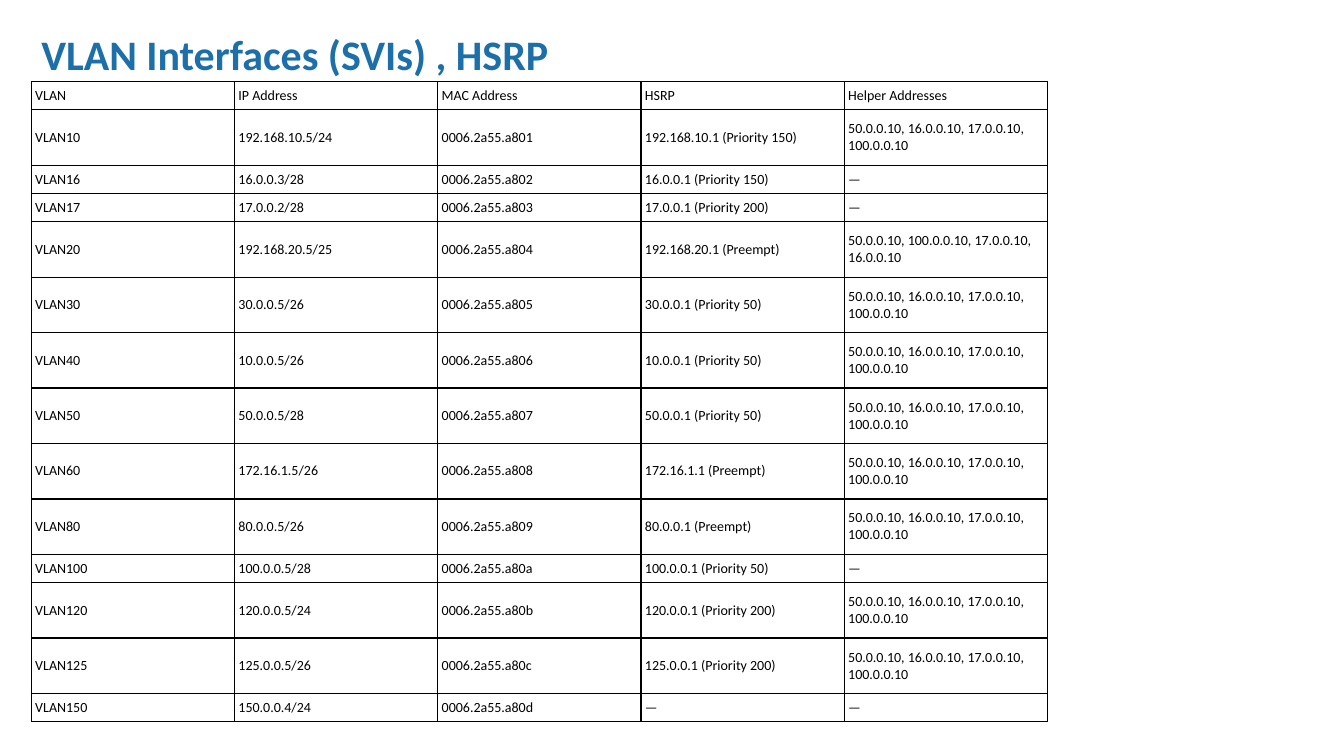
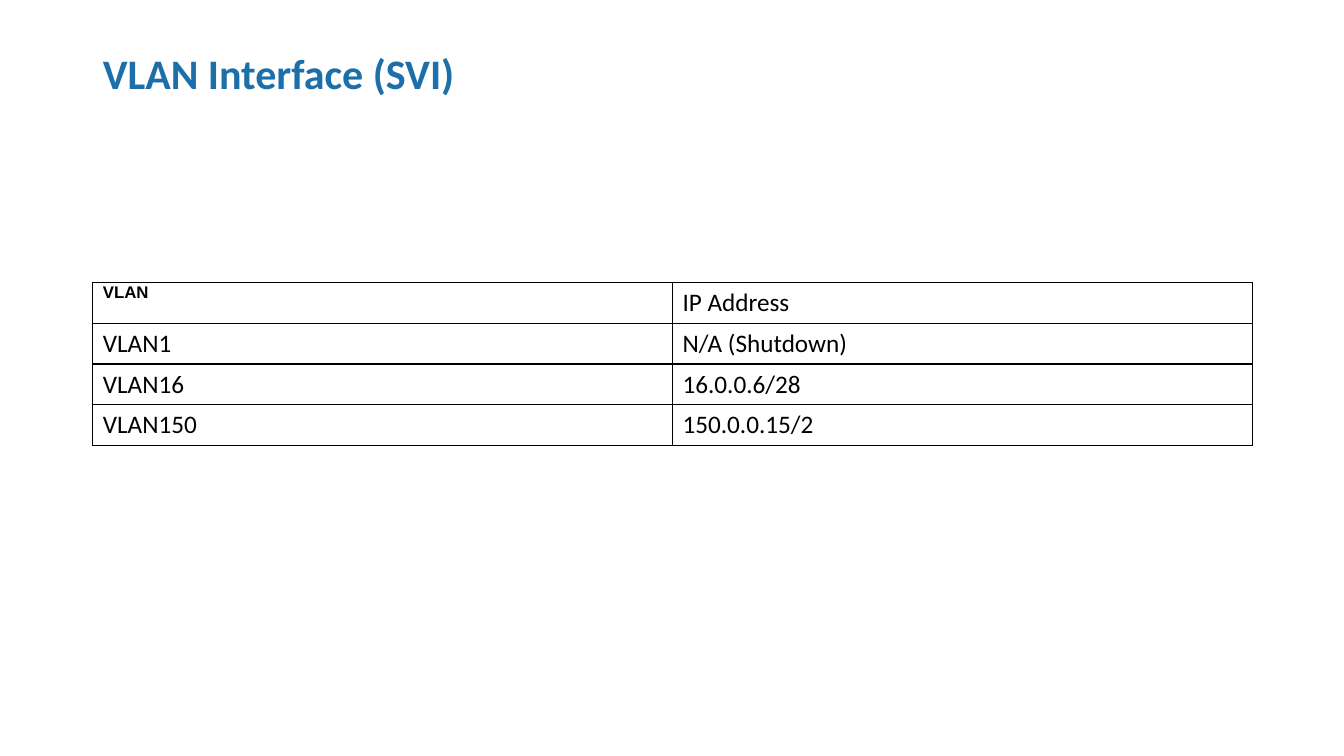
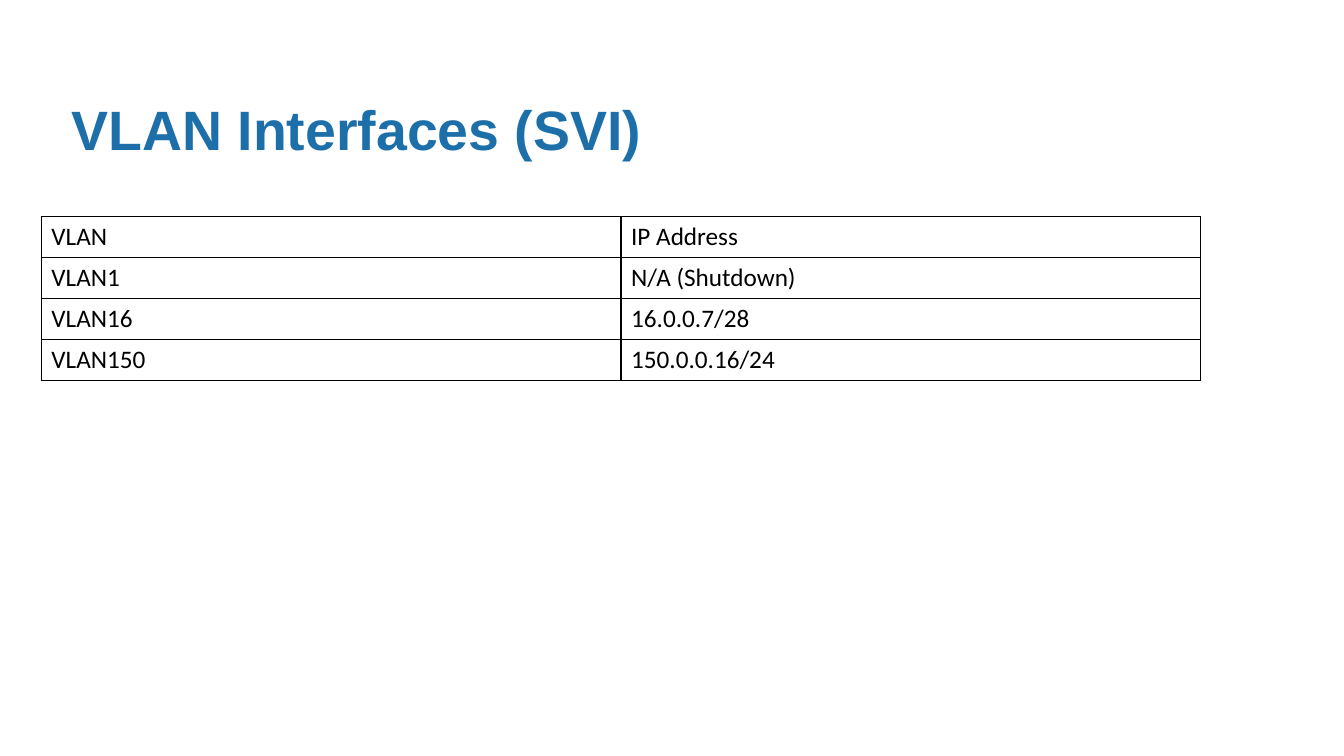
from lxml import etree
from pptx import Presentation
from pptx.dml.color import RGBColor
from pptx.enum import text
from pptx.oxml import ns
from pptx.util import Inches, Pt

BLUE = RGBColor(0x1D, 0x6F, 0xA9)
BLACK = RGBColor(0, 0, 0)
BODY_FONT = "Calibri"
TITLE_ONLY = 5

HELPERS = "50.0.0.10, 16.0.0.10, 17.0.0.10, 100.0.0.10"
NONE = "—"
HSRP_HEADER = ("VLAN", "IP Address", "MAC Address", "HSRP", "Helper Addresses")
# VLAN number, address, HSRP group, helper addresses
HSRP_VLANS = [
    (10, "192.168.10.5/24", "192.168.10.1 (Priority 150)", HELPERS),
    (16, "16.0.0.3/28", "16.0.0.1 (Priority 150)", NONE),
    (17, "17.0.0.2/28", "17.0.0.1 (Priority 200)", NONE),
    (20, "192.168.20.5/25", "192.168.20.1 (Preempt)",
     "50.0.0.10, 100.0.0.10, 17.0.0.10, 16.0.0.10"),
    (30, "30.0.0.5/26", "30.0.0.1 (Priority 50)", HELPERS),
    (40, "10.0.0.5/26", "10.0.0.1 (Priority 50)", HELPERS),
    (50, "50.0.0.5/28", "50.0.0.1 (Priority 50)", HELPERS),
    (60, "172.16.1.5/26", "172.16.1.1 (Preempt)", HELPERS),
    (80, "80.0.0.5/26", "80.0.0.1 (Preempt)", HELPERS),
    (100, "100.0.0.5/28", "100.0.0.1 (Priority 50)", NONE),
    (120, "120.0.0.5/24", "120.0.0.1 (Priority 200)", HELPERS),
    (125, "125.0.0.5/26", "125.0.0.1 (Priority 200)", HELPERS),
    (150, "150.0.0.4/24", NONE, NONE),
]


def add_titled_slide(prs, title, box, size=30, font=BODY_FONT):
    s = prs.slides.add_slide(prs.slide_layouts[TITLE_ONLY])
    sp = s.shapes.title
    sp.left, sp.top, sp.width, sp.height = (Inches(v) for v in box)
    tf = sp.text_frame
    tf.text = title
    tf.word_wrap = True
    tf.auto_size = text.MSO_AUTO_SIZE.NONE
    tf.vertical_anchor = text.MSO_ANCHOR.MIDDLE
    p = tf.paragraphs[0]
    p.alignment = text.PP_ALIGN.LEFT
    style_font(p.font, size, BLUE, font, bold=True)
    return s


def style_font(f, size, color, name=BODY_FONT, bold=False):
    f.name, f.size, f.bold = name, Pt(size), bold
    f.color.rgb = color


def set_borders(cell, width=1):
    tc_pr = cell._tc.get_or_add_tcPr()
    for i, side in enumerate(("lnL", "lnR", "lnT", "lnB")):
        ln = etree.Element(ns.qn("a:" + side), w=str(Pt(width)))
        fill = etree.SubElement(ln, ns.qn("a:solidFill"))
        etree.SubElement(fill, ns.qn("a:srgbClr"), val=str(BLACK))
        tc_pr.insert(i, ln)


def add_grid(s, left, top, width, rows, heights, size, margins=(0.1, 0.05)):
    """Add a black-ruled table with equal columns."""
    n_cols = len(rows[0])
    frame = s.shapes.add_table(len(rows), n_cols, Inches(left), Inches(top),
                               Inches(width), Inches(sum(heights)))
    table = frame.table
    table.first_row = table.horz_banding = False
    for col in table.columns:
        col.width = Inches(width / n_cols)
    side, end = (Inches(m) for m in margins)
    for row, height, values in zip(table.rows, heights, rows):
        row.height = Inches(height)
        for cell, value in zip(row.cells, values):
            cell.text = value
            cell.vertical_anchor = text.MSO_ANCHOR.MIDDLE
            cell.margin_left = cell.margin_right = side
            cell.margin_top = cell.margin_bottom = end
            cell.fill.background()
            set_borders(cell)
            style_font(cell.text_frame.paragraphs[0].font, size, BLACK)
    return table


def add_hsrp_slide(prs):
    s = add_titled_slide(prs, "VLAN Interfaces (SVIs) , HSRP", (0.31, 0.23, 6.66, 0.61))
    rows = [HSRP_HEADER]
    for i, (vlan, address, hsrp, helpers) in enumerate(HSRP_VLANS, 1):
        rows.append((f"VLAN{vlan}", address, f"0006.2a55.a80{i:x}", hsrp, helpers))
    heights = [0.55 if "," in row[-1] else 0.28 for row in rows]
    add_grid(s, 0.31, 0.81, 10.08, rows, heights, 10, (0.04, 0.02))


def add_svi_table(s, left, top, vlan16, vlan150):
    rows = [("VLAN", "IP Address"), ("VLAN1", "N/A (Shutdown)"),
            ("VLAN16", vlan16), ("VLAN150", vlan150)]
    return add_grid(s, left, top, 11.5, rows, [0.4] * len(rows), 18)


def main():
    prs = Presentation()
    prs.slide_width, prs.slide_height = Inches(13.33), Inches(7.5)

    add_hsrp_slide(prs)

    s = add_titled_slide(prs, "VLAN Interface (SVI)", (0.92, 0.4, 11.5, 0.65))
    header = add_svi_table(s, 0.92, 2.8, "16.0.0.6/28", "150.0.0.15/2").cell(0, 0)
    header.vertical_anchor = text.MSO_ANCHOR.TOP
    header.margin_top = Inches(0.01)
    style_font(header.text_frame.paragraphs[0].font, 12, BLACK, "Arial", bold=True)

    s = add_titled_slide(prs, "VLAN Interfaces (SVI)", (0.61, 0.87, 11.5, 0.8),
                         39.6, "Arial")
    add_svi_table(s, 0.41, 2.15, "16.0.0.7/28", "150.0.0.16/24")

    prs.save("out.pptx")


if __name__ == "__main__":
    main()
